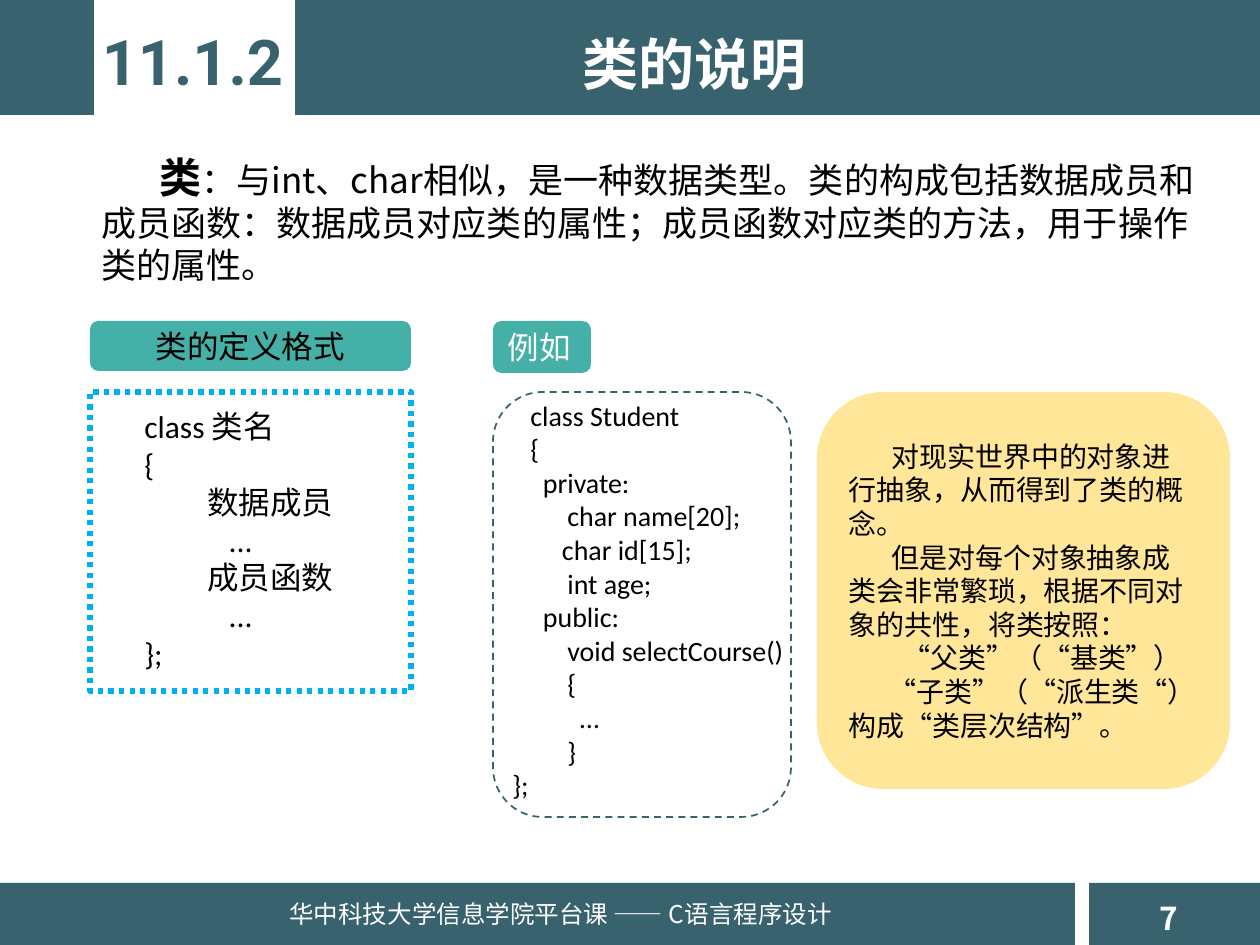
from lxml import etree
from pptx import Presentation, util as u
from pptx.dml.color import RGBColor
from pptx.enum import dml, shapes, text
from pptx.oxml.ns import qn

SCALE = 914400 / 126
COLORS = {
    "slate": "39626F", "teal": "45B0A8", "sky": "00B0F0",
    "sand": "FFE699", "white": "FFFFFF", "black": "000000",
}
CJK = "Noto Sans CJK SC"
LEFT, CENTER = text.PP_ALIGN.LEFT, text.PP_ALIGN.CENTER

BARS = [(0, 0, 94, 115), (295, 0, 965, 115), (0, 883, 1075, 62), (1089, 883, 171, 62)]
FORMAT_LINES = [
    ("class 类名", 0), ("{", 0), ("数据成员", 63), ("   ...", 63),
    ("成员函数", 63), ("   ...", 63), ("};", 0),
]
STUDENT_LINES = [
    ("class Student", 18), ("{", 18), ("  private:", 18),
    ("char name[20];", 55), ("  char id[15];", 37), ("int age;", 55),
    ("  public:", 18), ("void selectCourse()", 55), ("{", 55),
    ("  …", 55), ("}", 55), ("};", 0),
]
ABSTRACTION_LINES = [
    ("对现实世界中的对象进行抽象，从而得到了类的概念。", 43),
    ("但是对每个对象抽象成类会非常繁琐，根据不同对象的共性，将类按照：", 43),
    ("“父类”（“基类”）", 0, 38, CENTER),
    ("“子类”（“派生类“）", 0, 38, CENTER),
    ("构成“类层次结构”。", 0),
]
INTRO = "：与int、char相似，是一种数据类型。类的构成包括数据成员和成员函数：数据成员对应类的属性；成员函数对应类的方法，用于操作类的属性。"


def px(value):
    return u.Emu(round(value * SCALE))


def rgb(name):
    return RGBColor.from_string(COLORS[name])


def style_span(span, size, color, font=CJK, bold=False):
    span.font.size = u.Pt(size)
    span.font.bold = bold
    span.font.color.rgb = rgb(color)
    span.font.name = font
    east = etree.SubElement(span.font._element, qn("a:ea"))
    east.set("typeface", CJK)


def write_lines(frame, lines, size, color, font=CJK, bold=False, align=LEFT):
    frame.text = "\n".join(line[0] for line in lines)
    for para, (_, indent, *layout) in zip(frame.paragraphs, lines):
        margin, para.alignment = layout or (0, align)
        properties = para._p.get_or_add_pPr()
        properties.set("marL", str(px(margin)))
        properties.set("indent", str(px(indent)))
        for span in para.runs:
            style_span(span, size, color, font, bold)


def add_text(page, bounds, lines, size, color, wrap=True, **style):
    box = page.shapes.add_textbox(*map(px, bounds))
    frame = box.text_frame
    write_lines(frame, lines, size, color, **style)
    frame.word_wrap = wrap
    frame.auto_size = text.MSO_AUTO_SIZE.SHAPE_TO_FIT_TEXT
    return box


def add_panel(page, bounds, fill=None, line=None, rounded=True):
    kind = shapes.MSO_SHAPE.ROUNDED_RECTANGLE if rounded else shapes.MSO_SHAPE.RECTANGLE
    panel = page.shapes.add_shape(kind, *map(px, bounds))
    panel.shadow.inherit = False
    if fill:
        panel.fill.solid()
        panel.fill.fore_color.rgb = rgb(fill)
    else:
        panel.fill.background()
    if line:
        color, width, dash = line
        panel.line.color.rgb = rgb(color)
        panel.line.width = u.Pt(width)
        panel.line.dash_style = dash
    else:
        panel.line.fill.background()
    return panel


def add_intro(page):
    box = add_text(page, (89, 145, 1138, 149), [("类", 58)], 24, "black", bold=True)
    span = box.text_frame.paragraphs[0].add_run()
    span.text = INTRO
    style_span(span, 20, "black")


def main():
    deck = Presentation()
    deck.slide_width, deck.slide_height = px(1260), px(945)
    page = deck.slides.add_slide(deck.slide_layouts[6])

    for bounds in BARS:
        add_panel(page, bounds, fill="slate", rounded=False)
    add_text(page, (1147, 893, 69, 50), [("7", 0)], 18, "white", wrap=False, bold=True)
    add_text(page, (277, 893, 580, 102), [("华中科技大学信息学院平台课 —— C语言程序设计", 0)],
             14, "white", wrap=False)
    add_text(page, (89, 16, 207, 89), [("11.1.2", 0)], 36, "slate",
             wrap=False, font="Roboto", bold=True, align=CENTER)
    add_text(page, (373, 23, 643, 81), [("类的说明", 0)], 32, "white", bold=True, align=CENTER)
    add_intro(page)

    heading = add_panel(page, (90, 321, 321, 50), fill="teal")
    write_lines(heading.text_frame, [("类的定义格式", 0)], 18, "black", align=CENTER)
    add_panel(page, (90, 392, 321, 299), rounded=False,
              line=("sky", 3, dml.MSO_LINE.ROUND_DOT))
    add_text(page, (132, 401, 280, 280), FORMAT_LINES, 18, "black", font="Calibri")

    example = add_panel(page, (493, 321, 98, 52), fill="teal")
    write_lines(example.text_frame, [("例如", 0)], 18, "white")
    add_panel(page, (493, 392, 298, 425), line=("slate", 1, dml.MSO_LINE.DASH))
    add_text(page, (500, 392, 310, 420), STUDENT_LINES, 16, "black", font="Calibri")

    note = add_panel(page, (817, 392, 413, 397), fill="sand")
    write_lines(note.text_frame, ABSTRACTION_LINES, 16, "black")

    deck.save("out.pptx")


if __name__ == "__main__":
    main()
